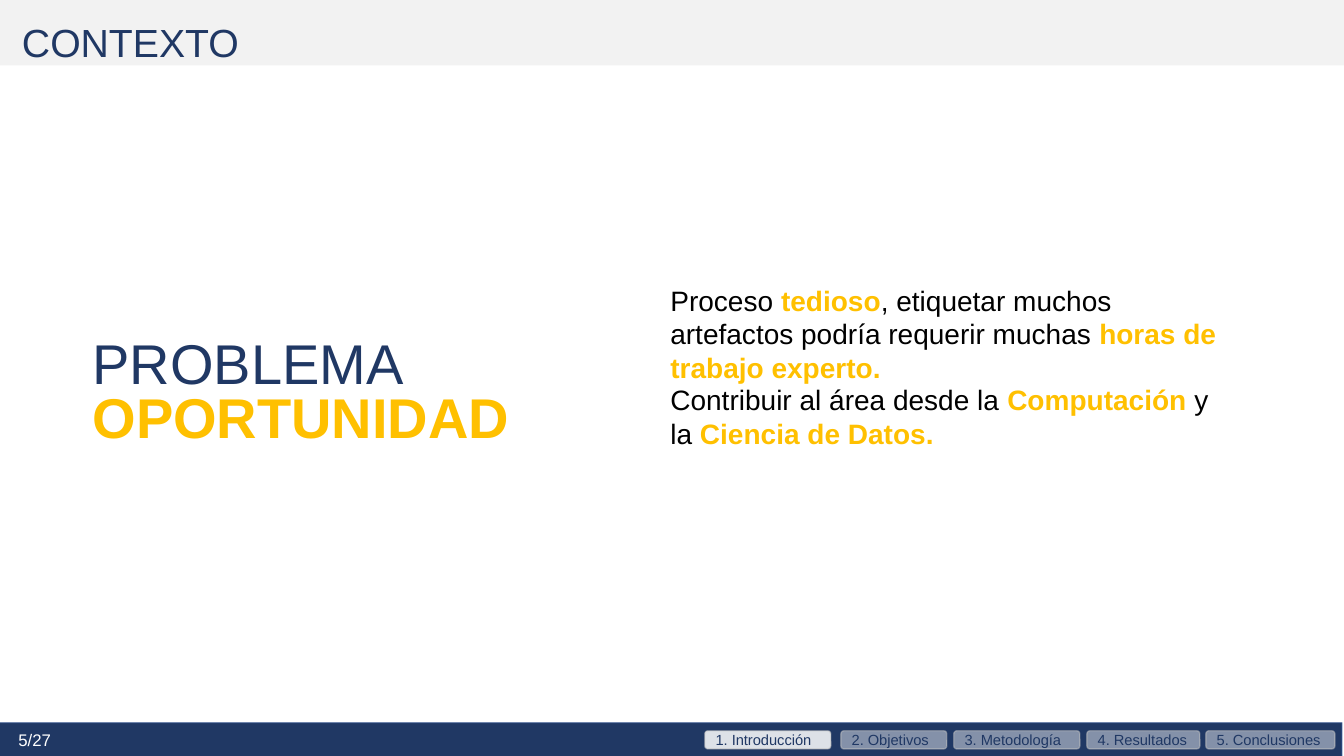
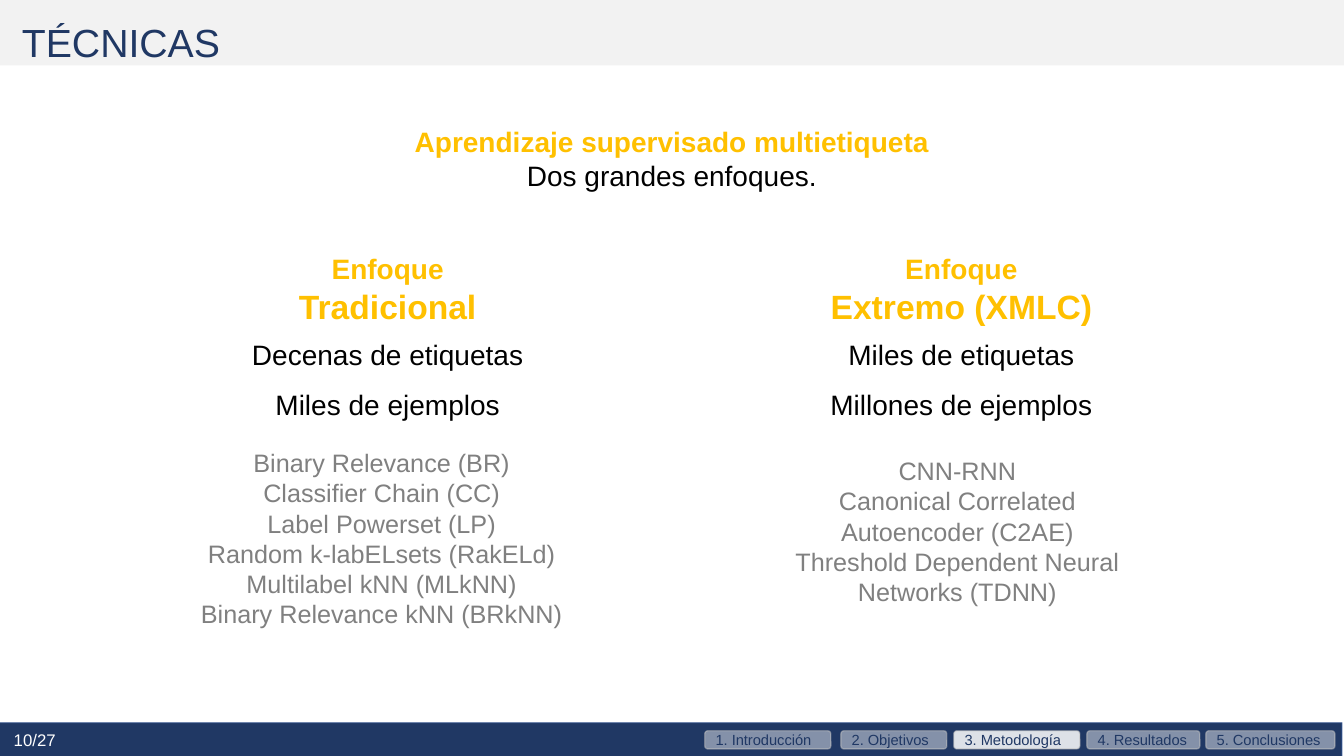
from lxml.etree import SubElement
from pptx import Presentation
from pptx.dml.color import RGBColor
from pptx.enum.shapes import MSO_SHAPE
from pptx.enum.text import MSO_ANCHOR, PP_ALIGN
from pptx.oxml.ns import qn
from pptx.util import Emu, Pt

PX = 9144  # EMU per px, 100 px to the inch
FONT = "Arial"
NAVY = RGBColor(0x20, 0x38, 0x64)
NAVY_LINE = RGBColor(0x32, 0x54, 0x91)
GOLD = RGBColor(0xFF, 0xC0, 0x00)
BLACK = RGBColor(0x00, 0x00, 0x00)
GRAY = RGBColor(0x80, 0x80, 0x80)
LINE_GRAY = RGBColor(0xBF, 0xBF, 0xBF)
PALE = RGBColor(0xF2, 0xF2, 0xF2)
WHITE = RGBColor(0xFF, 0xFF, 0xFF)

# Text styles: size, colour, bold
TITLE = (28, NAVY, False)
HEADING = (40, NAVY, False)
HEADING_GOLD = (40, GOLD, True)
BODY = (20, BLACK, False)
STRONG = (20, GOLD, True)
APPROACH = (24, GOLD, True)
METHOD = (18, GRAY, False)
PAGE_NUMBER = (12, WHITE, False)
NAV = (10.5, NAVY, False)

# Shared content: section label, left, width
TOTAL_PAGES = 27
SECTIONS = [
    ("1. Introducción", 699, 125),
    ("2. Objetivos", 834, 105),
    ("3. Metodología", 946, 125),
    ("4. Resultados", 1078, 112),
    ("5. Conclusiones", 1196, 128),
]
FOOTER = (-2, 717, 1333, 34)

# Context slide: place and runs of each one-paragraph box
CONTEXT = [
    ((82, 321, 467, 77), [("PROBLEMA", HEADING)]),
    ((655, 276, 579, 111), [
        ("Proceso", BODY), (" tedioso", STRONG),
        (", etiquetar muchos artefactos podría requerir muchas ", BODY),
        ("horas de trabajo experto.", STRONG)]),
    ((82, 375, 597, 77), [("OPORTUNIDAD", HEADING_GOLD)]),
    ((655, 375, 568, 77), [
        ("Contribuir al área desde la ", BODY), ("Computación", STRONG),
        (" y la ", BODY), ("Ciencia de Datos.", STRONG)]),
]

# Techniques slide
INTRO = [
    [("Aprendizaje supervisado multietiqueta", STRONG)],
    [("Dos grandes enfoques.", BODY)],
]
APPROACHES = [
    {
        "left": 112,
        "name": "Tradicional",
        "scale": ["Decenas de etiquetas", "Miles de ejemplos"],
        "methods": ["Binary Relevance (BR)", "Classifier Chain (CC)",
                    "Label Powerset (LP)", "Random k-labELsets (RakELd)",
                    "Multilabel kNN (MLkNN)", "Binary Relevance kNN (BRkNN)"],
        "methods_at": (106, 439, 495, 192),
    },
    {
        "left": 681,
        "name": "Extremo (XMLC)",
        "scale": ["Miles de etiquetas", "Millones de ejemplos"],
        "methods": ["CNN-RNN", "Canonical Correlated Autoencoder (C2AE)",
                    "Threshold Dependent Neural Networks (TDNN)"],
        "methods_at": (713, 447, 423, 162),
    },
]


def place(at):
    return [Emu(value * PX) for value in at]


def set_alpha(color_format_fill, percent):
    color = color_format_fill.find(".//" + qn("a:srgbClr"))
    SubElement(color, qn("a:alpha")).set("val", str(percent * 1000))


def write(shape, paragraphs, align=PP_ALIGN.LEFT, anchor=MSO_ANCHOR.TOP,
          indent=0, space_after=0):
    """Fill a shape with paragraphs, each a list of (text, style) runs."""
    frame = shape.text_frame
    frame.word_wrap = True
    frame.vertical_anchor = anchor
    for number, runs in enumerate(paragraphs):
        para = frame.add_paragraph() if number else frame.paragraphs[0]
        para.alignment = align
        para.space_after = Pt(space_after)
        if indent:
            properties = para._p.get_or_add_pPr()
            properties.set("marL", str(indent * PX))
            properties.set("indent", "0")
        for text, (size, color, bold) in runs:
            for line_number, line in enumerate(text.split("\n")):
                if line_number:
                    para.add_line_break()
                if not line:
                    continue
                span = para.add_run()
                span.text = line
                span.font.name = FONT
                span.font.size = Pt(size)
                span.font.bold = bold
                span.font.color.rgb = color


def add_text(page, at, paragraphs, **layout):
    write(page.shapes.add_textbox(*place(at)), paragraphs, **layout)


def add_band(page, at, fill, line=None, kind=MSO_SHAPE.RECTANGLE, opacity=100):
    band = page.shapes.add_shape(kind, *place(at))
    band.shadow.inherit = False
    band.fill.solid()
    band.fill.fore_color.rgb = fill
    if opacity < 100:
        set_alpha(band._element.spPr.find(qn("a:solidFill")), opacity)
    if line is None:
        band.line.fill.background()
    else:
        band.line.color.rgb = line
        band.line.width = Pt(1)
        set_alpha(band._element.spPr.find(qn("a:ln")), 50)
    return band


def add_page(deck, title, number, current_section):
    """Add a page with its title band, footer and section tabs."""
    page = deck.slides.add_slide(deck.slide_layouts[6])
    add_band(page, (0, -4, 1335, 69), PALE)
    add_text(page, (12, 13, 1006, 57), [[(title, TITLE)]])
    add_band(page, FOOTER, NAVY, NAVY_LINE)
    left, top, _, height = FOOTER
    add_text(page, (left, top, 73, height),
             [[(f"{number}/{TOTAL_PAGES}", PAGE_NUMBER)]],
             align=PP_ALIGN.CENTER, anchor=MSO_ANCHOR.MIDDLE)
    for section, (label, tab_left, width) in enumerate(SECTIONS, 1):
        tab = add_band(page, (tab_left, 725, width, 18), WHITE, LINE_GRAY,
                       MSO_SHAPE.ROUNDED_RECTANGLE,
                       85 if section == current_section else 45)
        write(tab, [[(label, NAV)]], anchor=MSO_ANCHOR.MIDDLE)
    return page


def build_context(deck):
    page = add_page(deck, "CONTEXTO", 5, 1)
    for at, runs in CONTEXT:
        add_text(page, at, [runs])


def build_techniques(deck):
    page = add_page(deck, "TÉCNICAS", 10, 3)
    add_text(page, (290, 119, 753, 111), INTRO, align=PP_ALIGN.CENTER)
    column = {"align": PP_ALIGN.CENTER, "indent": 50, "space_after": 12}
    for approach in APPROACHES:
        left = approach["left"]
        add_text(page, (left, 245, 495, 84),
                 [[("Enfoque\n", STRONG), (approach["name"], APPROACH)]], **column)
        add_text(page, (left, 330, 495, 94),
                 [[(line, BODY)] for line in approach["scale"]], **column)
        add_text(page, approach["methods_at"],
                 [[("\n".join(approach["methods"]), METHOD)]], **column)


def main():
    deck = Presentation()
    deck.slide_width, deck.slide_height = place((1333, 750))
    build_context(deck)
    build_techniques(deck)
    deck.save("out.pptx")


if __name__ == "__main__":
    main()
